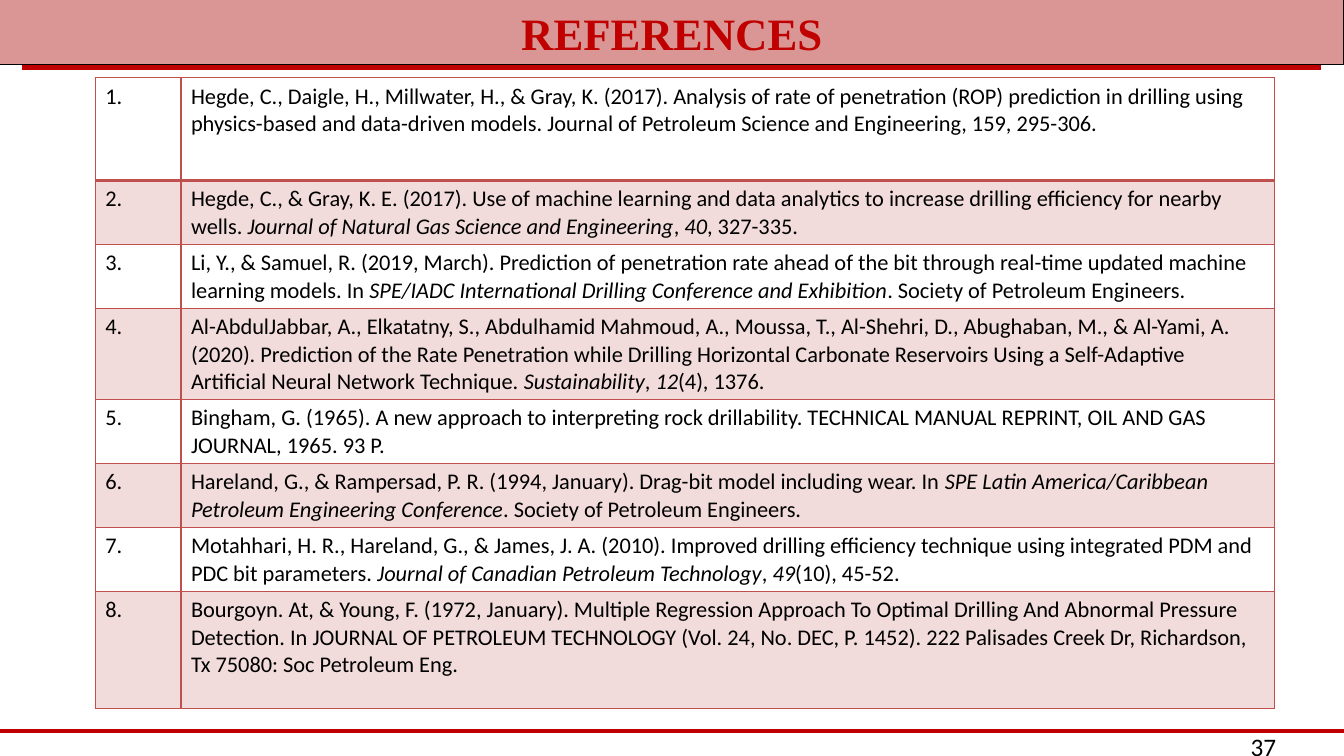
from typing import NamedTuple

from lxml import etree
from pptx import Presentation
from pptx.dml.color import RGBColor
from pptx.enum.shapes import MSO_CONNECTOR, MSO_SHAPE
from pptx.enum.text import MSO_ANCHOR, MSO_AUTO_SIZE, PP_ALIGN
from pptx.oxml.ns import qn
from pptx.slide import Slide
from pptx.table import Table, _Cell
from pptx.text.text import _Paragraph
from pptx.util import Cm, Pt

STRAIGHT = MSO_CONNECTOR.STRAIGHT
RECT = MSO_SHAPE.RECTANGLE
MIDDLE = MSO_ANCHOR.MIDDLE
GROW = MSO_AUTO_SIZE.SHAPE_TO_FIT_TEXT
CENTER = PP_ALIGN.CENTER

RED = RGBColor(0xC0, 0x00, 0x00)
ROSE = RGBColor(0xD9, 0x96, 0x94)
BRICK = RGBColor(0xC0, 0x50, 0x4D)
BLACK = RGBColor(0x00, 0x00, 0x00)

WIDTH, HEIGHT = 33.87, 19.05
SANS, SERIF = "Calibri", "Times New Roman"
TINT = 20


class Rule(NamedTuple):
    left: float
    right: float
    top: float


class Entry(NamedTuple):
    height: float
    text: str  # asterisks enclose italics


RULES = [Rule(0, WIDTH, 18.42), Rule(0.56, 33.3, 1.7)]

ENTRIES = [
    Entry(2.59, "Hegde, C., Daigle, H., Millwater, H., & Gray, K. (2017). Analysis of rate of "
          "penetration (ROP) prediction in drilling using physics-based and data-driven models. "
          "Journal of Petroleum Science and Engineering, 159, 295-306."),
    Entry(1.61, "Hegde, C., & Gray, K. E. (2017). Use of machine learning and data analytics to "
          "increase drilling efficiency for nearby wells. "
          "*Journal of Natural Gas Science and Engineering*, *40*, 327-335."),
    Entry(1.61, "Li, Y., & Samuel, R. (2019, March). Prediction of penetration rate ahead of the "
          "bit through real-time updated machine learning models. In *SPE/IADC International "
          "Drilling Conference and Exhibition*. Society of Petroleum Engineers."),
    Entry(2.3, "Al-AbdulJabbar, A., Elkatatny, S., Abdulhamid Mahmoud, A., Moussa, T., "
          "Al-Shehri, D., Abughaban, M., & Al-Yami, A. (2020). Prediction of the Rate "
          "Penetration while Drilling Horizontal Carbonate Reservoirs Using a Self-Adaptive "
          "Artificial Neural Network Technique. *Sustainability*, *12*(4), 1376."),
    Entry(1.61, "Bingham, G. (1965). A new approach to interpreting rock drillability. TECHNICAL "
          "MANUAL REPRINT, OIL AND GAS JOURNAL, 1965. 93 P."),
    Entry(1.61, "Hareland, G., & Rampersad, P. R. (1994, January). Drag-bit model including "
          "wear. In *SPE Latin America/Caribbean Petroleum Engineering Conference*. "
          "Society of Petroleum Engineers."),
    Entry(1.61, "Motahhari, H. R., Hareland, G., & James, J. A. (2010). Improved drilling "
          "efficiency technique using integrated PDM and PDC bit parameters. "
          "*Journal of Canadian Petroleum Technology*, *49*(10), 45-52."),
    Entry(2.96, "Bourgoyn. At, & Young, F. (1972, January). Multiple Regression Approach To "
          "Optimal Drilling And Abnormal Pressure Detection. In JOURNAL OF PETROLEUM TECHNOLOGY "
          "(Vol. 24, No. DEC, P. 1452). 222 Palisades Creek Dr, Richardson, Tx 75080: "
          "Soc Petroleum Eng."),
]


def style(para: _Paragraph, size: float, face: str = SANS, color: RGBColor = BLACK) -> None:
    for run in para.runs:
        run.font.size = Pt(size)
        run.font.name = face
        run.font.color.rgb = color


def draw_rule(slide: Slide, rule: Rule) -> None:
    line = slide.shapes.add_connector(
        STRAIGHT, Cm(rule.left), Cm(rule.top), Cm(rule.right), Cm(rule.top))
    line.line.color.rgb = RED
    line.line.width = Pt(3)
    etree.SubElement(line._element.spPr, qn("a:effectLst"))


def draw_title(slide: Slide) -> None:
    bar = slide.shapes.add_shape(RECT, 0, 0, Cm(WIDTH), Cm(1.63))
    bar.shadow.inherit = False
    bar.fill.solid()
    bar.fill.fore_color.rgb = ROSE
    bar.line.color.rgb = BLACK
    bar.line.width = Pt(0.75)
    frame = bar.text_frame
    frame.text = "REFERENCES"
    frame.auto_size = GROW
    frame.vertical_anchor = MIDDLE
    para = frame.paragraphs[0]
    para.alignment = CENTER
    style(para, 32, SERIF, RED)
    para.runs[0].font.bold = True


def draw_number(slide: Slide) -> None:
    box = slide.shapes.add_textbox(Cm(31.27), Cm(18.31), Cm(2.16), Cm(1.02))
    box.text_frame.word_wrap = True
    box.text_frame.text = "37"
    style(box.text_frame.paragraphs[0], 18)


def set_edges(cell: _Cell, base: float) -> None:
    props = cell._tc.get_or_add_tcPr()
    edges = {"a:lnL": 1, "a:lnR": 1, "a:lnT": 1, "a:lnB": base}
    for spot, (tag, width) in enumerate(edges.items()):
        edge = etree.Element(qn(tag), w=str(Pt(width)))
        fill = etree.SubElement(edge, qn("a:solidFill"))
        etree.SubElement(fill, qn("a:srgbClr"), val=str(BRICK))
        props.insert(spot, edge)


def set_fill(cell: _Cell, tinted: bool) -> None:
    if not tinted:
        cell.fill.background()
        return
    cell.fill.solid()
    cell.fill.fore_color.rgb = BRICK
    color = cell._tc.tcPr.find(".//" + qn("a:srgbClr"))
    etree.SubElement(color, qn("a:alpha"), val=str(TINT * 1000))


def fill_row(table: Table, index: int, entry: Entry) -> None:
    table.rows[index].height = Cm(entry.height)
    label, body = table.cell(index, 0), table.cell(index, 1)
    label.text_frame.text = f"{index + 1}."
    para = body.text_frame.paragraphs[0]
    for part, piece in enumerate(entry.text.split("*")):
        run = para.add_run()
        run.text = piece
        run.font.italic = part % 2 == 1
    for cell in (label, body):
        style(cell.text_frame.paragraphs[0], 16)
        set_fill(cell, index % 2 == 1)
        set_edges(cell, 2 if index == 0 else 1)


def draw_table(slide: Slide) -> None:
    total = sum(entry.height for entry in ENTRIES)
    table = slide.shapes.add_table(
        len(ENTRIES), 2, Cm(2.4), Cm(1.96), Cm(29.72), Cm(total)).table
    table.first_row = False
    table.horz_banding = False
    for column, width in zip(table.columns, (2.16, 27.56)):
        column.width = Cm(width)
    for index, entry in enumerate(ENTRIES):
        fill_row(table, index, entry)


def main() -> None:
    deck = Presentation()
    deck.slide_width, deck.slide_height = Cm(WIDTH), Cm(HEIGHT)
    slide = deck.slides.add_slide(deck.slide_layouts[6])
    # Frame lines and title
    for rule in RULES:
        draw_rule(slide, rule)
    draw_title(slide)
    # Page number and references
    draw_number(slide)
    draw_table(slide)
    deck.save("out.pptx")


if __name__ == "__main__":
    main()
